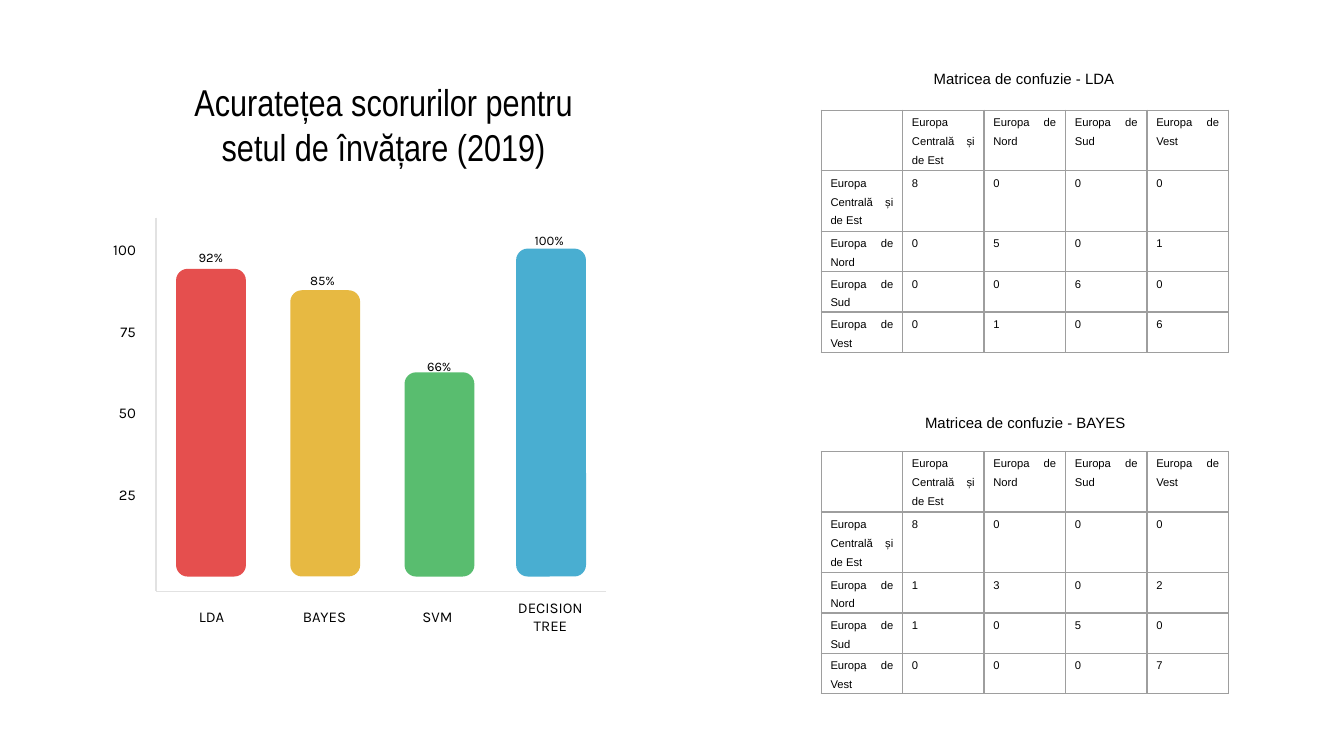
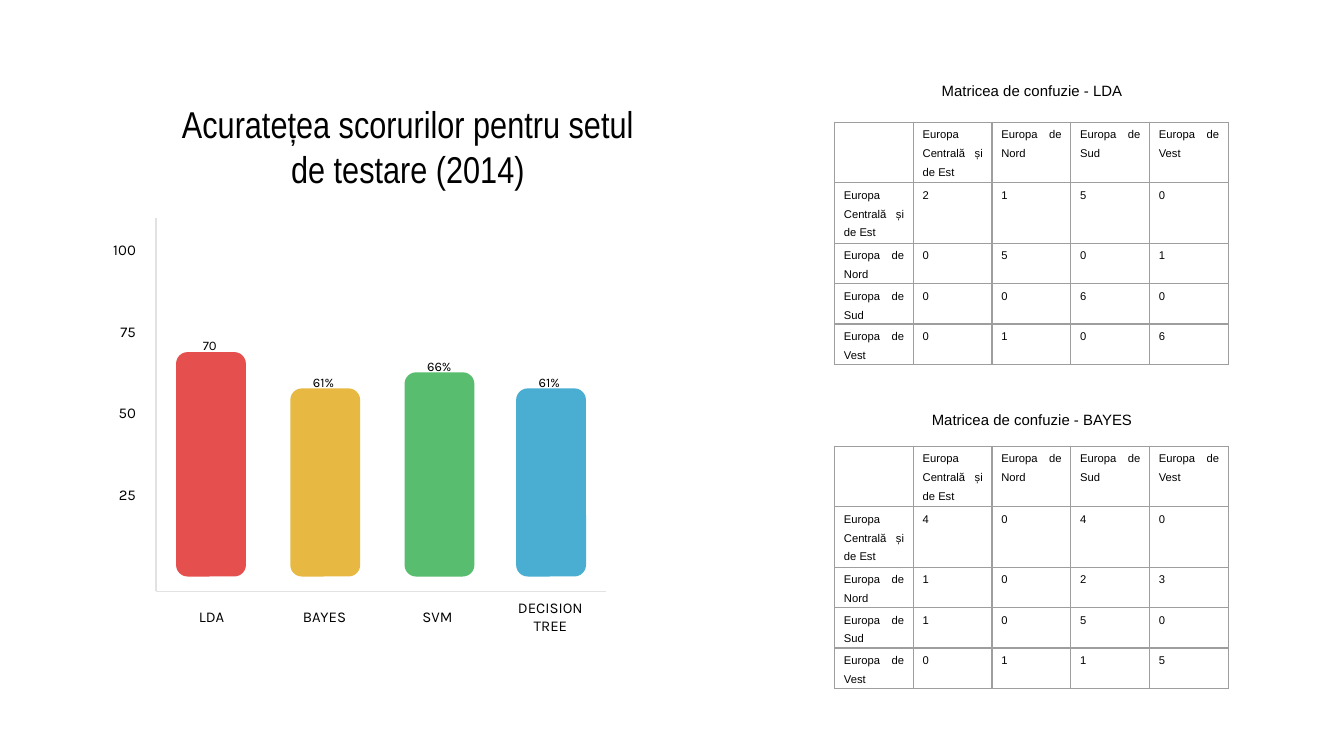
from dataclasses import dataclass

from lxml.etree import SubElement
from pptx import Presentation
from pptx.dml.color import RGBColor
from pptx.enum.shapes import MSO_CONNECTOR, MSO_SHAPE
from pptx.enum.text import MSO_ANCHOR, MSO_AUTO_SIZE, PP_ALIGN
from pptx.oxml import parse_xml
from pptx.oxml.ns import nsdecls, qn
from pptx.util import Inches, Pt

BLACK, AXIS, GRID = "000000", "E2E2E2", "9E9E9E"
COLORS = ("E54F4E", "E7B942", "59BD6F", "49AED1")
LEFTS = (1.31, 2.16, 3.01, 3.84)
MODELS = ("LDA", "BAYES", "SVM", "DECISION TREE")
TICKS = (("25", 3.44), ("50", 2.83), ("75", 2.23), ("100", 1.62))
AREAS = ("Europa Centrală și de Est", "Europa de Nord", "Europa de Sud", "Europa de Vest")
ROWS = (0.45, 0.45, 0.3, 0.3, 0.3)
BASE = 4.29
LEFT, MID, RIGHT = PP_ALIGN.LEFT, PP_ALIGN.CENTER, PP_ALIGN.RIGHT
Box = tuple[float, float, float, float]


@dataclass
class Bar:
    """A bar's top and its value label."""
    top: float
    text: str
    label: Box
    align: PP_ALIGN = LEFT


@dataclass
class Matrix:
    """A captioned confusion matrix."""
    name: str
    cap: Box
    place: Box
    data: tuple[str, ...]


@dataclass
class Page:
    """The content of one slide."""
    title: str
    place: Box
    bars: tuple[Bar, ...]
    grids: tuple[Matrix, ...]


PAGES = (
    Page(
        "Acuratețea scorurilor pentru setul de învățare (2019)", (1.13, 0.53, 3.45, 0.79),
        (
            Bar(2, "92%", (1.38, 1.81, 0.44, 0.22)),
            Bar(2.16, "85%", (2.21, 1.98, 0.44, 0.22)),
            Bar(2.77, "66%", (3.08, 2.62, 0.44, 0.22)),
            Bar(1.85, "100%", (3.88, 1.68, 0.48, 0.22)),
        ),
        (
            Matrix("LDA", (6.37, 0.47, 2.5, 0.24), (6.11, 0.82, 3.03, 1.8),
                   ("8000", "0501", "0060", "0106")),
            Matrix("BAYES", (6.38, 3.03, 2.5, 0.24), (6.11, 3.36, 3.03, 1.8),
                   ("8000", "1302", "1050", "0007")),
        ),
    ),
    Page(
        "Acuratețea scorurilor pentru setul de testare (2014)", (1.11, 0.8, 3.85, 0.58),
        (
            Bar(2.62, "70", (1.34, 2.46, 0.44, 0.22), MID),
            Bar(2.89, "61%", (2.23, 2.74, 0.44, 0.22)),
            Bar(2.77, "66%", (3.08, 2.62, 0.44, 0.22)),
            Bar(2.89, "61%", (3.91, 2.74, 0.48, 0.22)),
        ),
        (
            Matrix("LDA", (6.43, 0.56, 2.5, 0.24), (6.21, 0.91, 2.93, 1.8),
                   ("2150", "0501", "0060", "0106")),
            Matrix("BAYES", (6.43, 3.01, 2.5, 0.24), (6.21, 3.32, 2.93, 1.8),
                   ("4040", "1023", "1050", "0115")),
        ),
    ),
)


def color(code: str) -> RGBColor:
    """Turn a hex string into a colour."""
    return RGBColor.from_string(code)


def apply(item, values: dict) -> None:
    """Set each named value on an item."""
    for name, value in values.items():
        setattr(item, name, value)


def inches(box: Box) -> list:
    """Convert a box to lengths."""
    return [Inches(side) for side in box]


def write(frame, text: str, font: str, size: float, align: PP_ALIGN):
    """Fill a text frame with one formatted paragraph."""
    para = frame.paragraphs[0]
    para.alignment = align
    run = para.add_run()
    run.text = text
    apply(run.font, {"name": font, "size": Pt(size), "bold": False})
    run.font.color.rgb = color(BLACK)
    return para


def pad(frame) -> None:
    """Give a frame even margins and centre it vertically."""
    gap = Inches(0.1)
    apply(frame, {"margin_left": gap, "margin_top": gap, "margin_right": gap,
                  "margin_bottom": gap, "word_wrap": True,
                  "auto_size": MSO_AUTO_SIZE.NONE,
                  "vertical_anchor": MSO_ANCHOR.MIDDLE})


def label(shapes, box: Box, text: str, align: PP_ALIGN) -> None:
    """Add an axis label."""
    frame = shapes.add_textbox(*inches(box)).text_frame
    pad(frame)
    write(frame, text, "Karla", 8, align)


def note(shapes, box: Box, text: str, font: str, size: float, align: PP_ALIGN) -> None:
    """Add a text box that grows with its text."""
    frame = shapes.add_textbox(*inches(box)).text_frame
    apply(frame, {"word_wrap": True, "auto_size": MSO_AUTO_SIZE.SHAPE_TO_FIT_TEXT})
    write(frame, text, font, size, align)


def axis(shapes, ends: Box) -> None:
    """Add an axis line."""
    line = shapes.add_connector(MSO_CONNECTOR.STRAIGHT, *inches(ends))
    line.line.color.rgb = color(AXIS)
    line.line.width = Pt(0.75)
    SubElement(line._element.spPr, qn("a:effectLst"))


def plot(slide, bars: tuple[Bar, ...]) -> None:
    """Draw the bars, axes and labels."""
    shapes = slide.shapes.add_group_shape().shapes
    for bar, left, fill in zip(bars, LEFTS, COLORS):
        box = (left, bar.top, 0.52, BASE - bar.top)
        shape = shapes.add_shape(MSO_SHAPE.ROUNDED_RECTANGLE, *inches(box))
        shape.adjustments[0] = 1 / 6
        shape.shadow.inherit = False
        shape.fill.solid()
        shape.fill.fore_color.rgb = color(fill)
        shape.line.fill.background()
    for i, model in enumerate(MODELS):
        label(shapes, (1.17 + 0.84 * i, 4.35, 0.81, 0.48), model, MID)
    axis(shapes, (1.16, 1.62, 1.16, 4.4))
    axis(shapes, (4.51, 4.4, 1.16, 4.4))
    for tick, top in TICKS:
        label(shapes, (0.69, top, 0.42, 0.48), tick, RIGHT)
    for bar in bars:
        note(slide.shapes, bar.label, bar.text, "Karla", 7, bar.align)


def edge(cell) -> None:
    """Draw the four borders of a cell."""
    props = cell._tc.get_or_add_tcPr()
    for i, side in enumerate("LRTB"):
        props.insert(i, parse_xml(
            f'<a:ln{side} {nsdecls("a")} w="{Pt(0.75)}"><a:solidFill>'
            f'<a:srgbClr val="{GRID}"/></a:solidFill></a:ln{side}>'))


def matrix(slide, grid: Matrix) -> None:
    """Draw a confusion matrix and its caption."""
    size = len(ROWS)
    table = slide.shapes.add_table(size, size, *inches(grid.place)).table
    apply(table, {"first_row": False, "horz_banding": False})
    for row, high in zip(table.rows, ROWS):
        row.height = Inches(high)
    for col in table.columns:
        col.width = Inches(grid.place[2] / size)
    cells = [("", *AREAS)] + [(area, *nums) for area, nums in zip(AREAS, grid.data)]
    for r, line in enumerate(cells):
        for c, text in enumerate(line):
            cell = table.cell(r, c)
            apply(cell, {"margin_left": Inches(0.07), "margin_right": Inches(0.07),
                         "margin_top": 0, "margin_bottom": 0})
            cell.fill.background()
            edge(cell)
            if text:
                para = write(cell.text_frame, text, "Arial", 6, PP_ALIGN.JUSTIFY)
                para.line_spacing = 1.5
    note(slide.shapes, grid.cap, f"Matricea de confuzie - {grid.name}", "Arial", 8, MID)


def build(deck, page: Page) -> None:
    """Add one slide."""
    slide = deck.slides.add_slide(deck.slide_layouts[5])
    title = slide.shapes.title
    apply(title, dict(zip(("left", "top", "width", "height"), inches(page.place))))
    pad(title.text_frame)
    write(title.text_frame, page.title, "Arial Narrow", 20, MID)
    plot(slide, page.bars)
    for grid in page.grids:
        matrix(slide, grid)


def main() -> None:
    """Build and save the deck."""
    deck = Presentation()
    apply(deck, {"slide_width": Inches(10), "slide_height": Inches(10) * 9 // 16})
    for page in PAGES:
        build(deck, page)
    deck.save("out.pptx")


if __name__ == "__main__":
    main()
